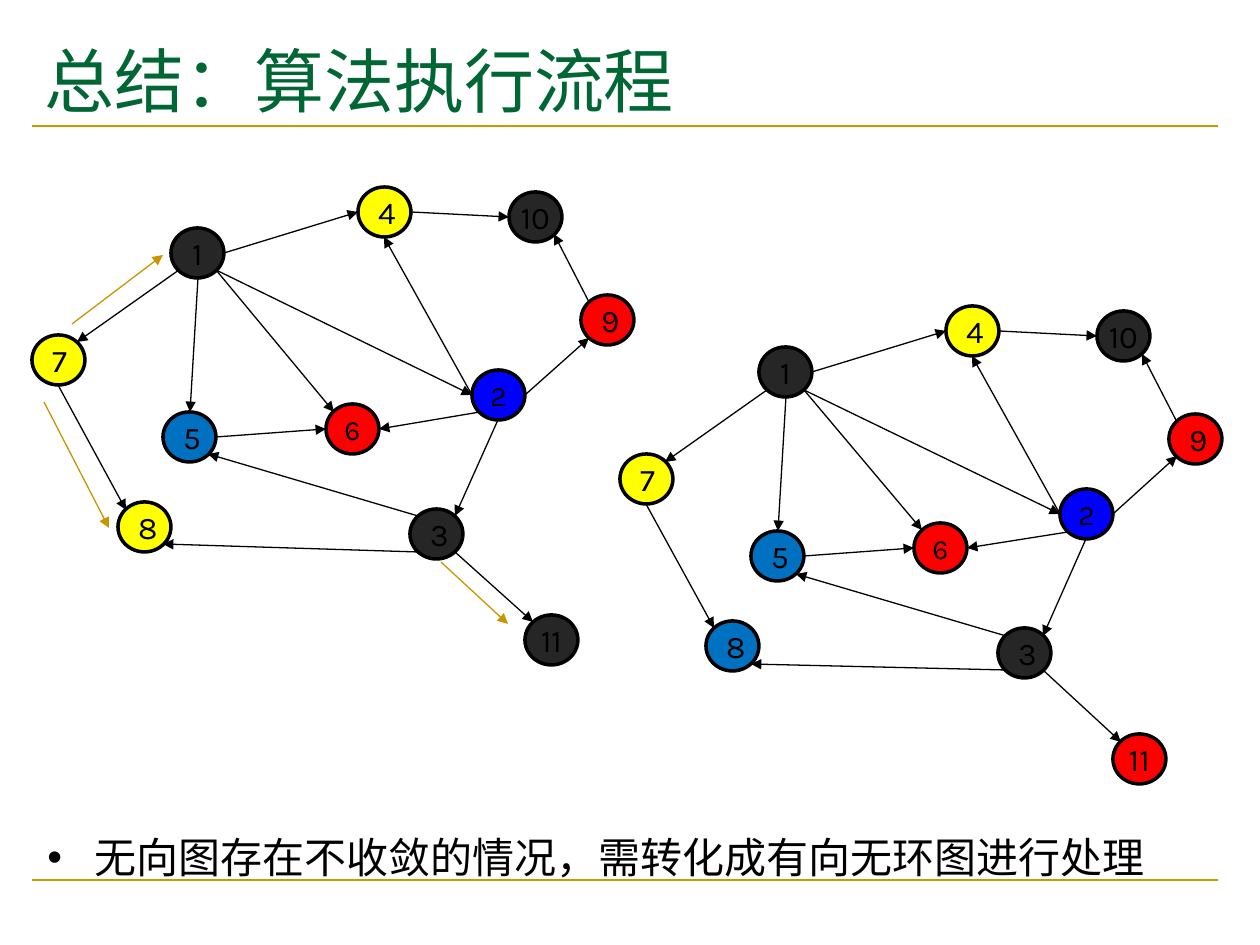
from lxml.etree import SubElement
from pptx import Presentation
from pptx.dml.color import RGBColor
from pptx.enum.shapes import MSO_CONNECTOR as CONNECTOR, MSO_SHAPE as SHAPE
from pptx.enum.text import MSO_ANCHOR as ANCHOR, PP_ALIGN as ALIGN
from pptx.oxml.ns import qn
from pptx.util import Pt

PX = 914400 // 126
COLORS = {
    "title": "006633", "rule": "CC9900", "trace": "C89600", "black": "000000",
    "yellow": "FFFF00", "dark": "262626", "azure": "0070C0", "red": "FF0000",
    "blue": "0000FF",
}
TEXT_FONT, NODE_FONT = "DejaVu Sans", "Karla"
NODE_WIDTH, NODE_HEIGHT = 53, 50

# number: left, top, colour, in back-to-front order
NODES = {
    7: (32, 335, "yellow"), 8: (118, 502, "yellow"), 11: (525, 615, "dark"),
    3: (410, 509, "dark"), 4: (358, 187, "yellow"), 1: (171, 228, "dark"),
    5: (163, 412, "azure"), 6: (326, 404, "red"), 2: (472, 370, "blue"),
    9: (581, 295, "red"), 10: (509, 192, "dark"),
}
# Points on a node's outline, as fractions of its box
SITES = {
    "top": (0.5, 0), "bottom": (0.5, 1), "left": (0, 0.5), "right": (1, 0.5),
    "top left": (0.15, 0.15), "top right": (0.85, 0.15),
    "bottom left": (0.15, 0.85), "bottom right": (0.85, 0.85),
}
EDGES = [
    (1, "bottom left", 7, "top right"), (5, "right", 6, "left"),
    (1, "right", 4, "left"), (2, "right", 9, "bottom left"),
    (2, "left", 4, "bottom"), (1, "bottom right", 2, "left"),
    (2, "bottom left", 6, "right"), (1, "bottom right", 6, "top left"),
    (1, "bottom", 5, "top"), (7, "bottom", 8, "top left"),
    (3, "bottom left", 8, "bottom right"), (2, "bottom", 3, "top right"),
    (3, "bottom right", 11, "top left"), (3, "top left", 5, "bottom right"),
    (9, "top left", 10, "bottom right"), (4, "right", 10, "left"),
]
# Offset of each graph and the nodes coloured differently in it
GRAPHS = [((0, 0), {}), ((588, 119), {8: "azure", 11: "red"})]
TRACES = [(44, 402, 109, 528), (72, 324, 163, 255), (441, 562, 508, 624)]


def add_line(shapes, ends, color, width=0.75, arrow=True):
    line = shapes.add_connector(CONNECTOR.STRAIGHT, *(round(v) * PX for v in ends))
    line.line.color.rgb = RGBColor.from_string(COLORS[color])
    line.line.width = Pt(width)
    if arrow:
        SubElement(line.line._get_or_add_ln(), qn("a:tailEnd"), type="triangle")
    SubElement(line._element.spPr, qn("a:effectLst"))


def format_text(paragraph, font_name, size, color):
    for run in paragraph.runs:
        run.font.name = font_name
        run.font.size = Pt(size)
        run.font.color.rgb = RGBColor.from_string(COLORS[color])


presentation = Presentation()
presentation.slide_width, presentation.slide_height = 1260 * PX, 945 * PX
slide = presentation.slides.add_slide(presentation.slide_layouts[5])

for y in (880, 126):
    add_line(slide.shapes, (32, y, 1218, y), "rule", 1.5, arrow=False)

title = slide.shapes.title
title.left, title.top, title.width, title.height = 32 * PX, 35 * PX, 1187 * PX, 90 * PX
title.text_frame.text = "总结：算法执行流程"
title.text_frame.vertical_anchor = ANCHOR.MIDDLE
title.text_frame.paragraphs[0].alignment = ALIGN.LEFT
format_text(title.text_frame.paragraphs[0], TEXT_FONT, 40, "title")

for ends in TRACES:
    add_line(slide.shapes, ends, "trace")

note = slide.shapes.add_textbox(35 * PX, 775 * PX, 1155 * PX, 115 * PX)
note.text_frame.word_wrap = True
paragraph = note.text_frame.paragraphs[0]
paragraph.text = "无向图存在不收敛的情况，需转化成有向无环图进行处理"
paragraph.line_spacing = 2.0
format_text(paragraph, TEXT_FONT, 24, "black")
properties = paragraph._p.get_or_add_pPr()
properties.set("marL", str(47 * PX))
properties.set("indent", str(-47 * PX))
SubElement(properties, qn("a:buFont"), typeface="Arial")
SubElement(properties, qn("a:buChar"), char="•")

for (dx, dy), recolored in GRAPHS:
    graph = slide.shapes.add_group_shape()
    for number, (left, top, color) in NODES.items():
        node = graph.shapes.add_shape(
            SHAPE.OVAL, (left + dx) * PX, (top + dy) * PX,
            NODE_WIDTH * PX, NODE_HEIGHT * PX)
        node.shadow.inherit = False
        node.fill.solid()
        node.fill.fore_color.rgb = RGBColor.from_string(
            COLORS[recolored.get(number, color)])
        node.line.color.rgb = RGBColor.from_string(COLORS["black"])
        node.line.width = Pt(2)
        frame = node.text_frame
        frame.text = str(number)
        frame.vertical_anchor = ANCHOR.MIDDLE
        if number in (2, 6, 10, 11):
            frame.margin_left = frame.margin_right = 0
            frame.margin_top = frame.margin_bottom = 0
        frame.paragraphs[0].alignment = ALIGN.CENTER
        format_text(frame.paragraphs[0], NODE_FONT, 16 if number in (2, 6) else 18, "black")

    for start, start_site, end, end_site in EDGES:
        ends = []
        for number, site in ((start, start_site), (end, end_site)):
            left, top, _ = NODES[number]
            across, down = SITES[site]
            ends += [left + dx + across * NODE_WIDTH, top + dy + down * NODE_HEIGHT]
        add_line(graph.shapes, ends, "black")

presentation.save("out.pptx")
